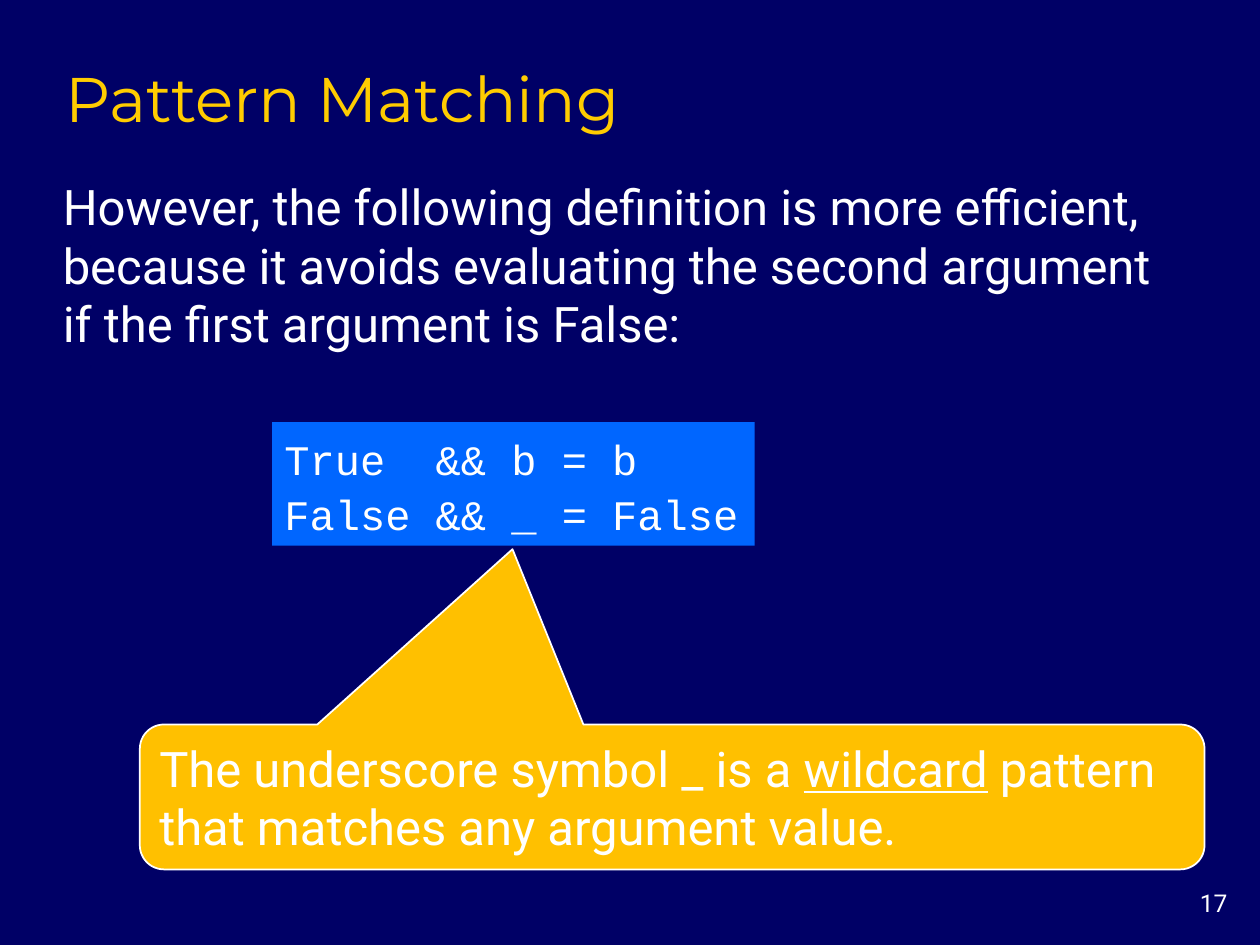
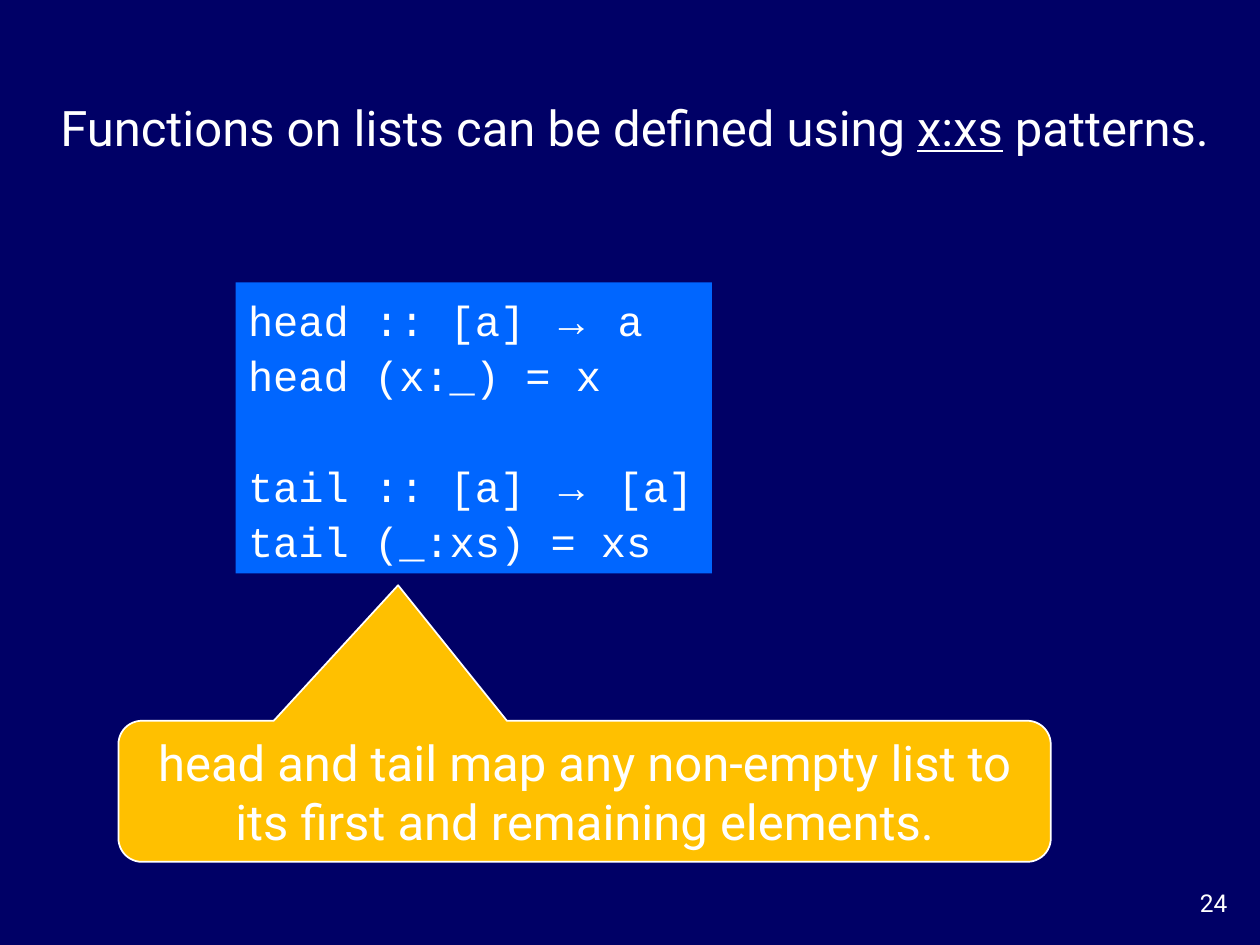
from dataclasses import dataclass
from typing import Optional

from pptx import Presentation
from pptx import util as u
from pptx.dml.color import RGBColor
from pptx.enum import shapes, text


@dataclass(frozen=True)
class Theme:
    background: RGBColor = RGBColor(0x00, 0x00, 0x66)
    title: RGBColor = RGBColor(0xFF, 0xCC, 0x00)
    ink: RGBColor = RGBColor(0xFF, 0xFF, 0xFF)
    code_fill: RGBColor = RGBColor(0x00, 0x66, 0xFF)
    callout_fill: RGBColor = RGBColor(0xFF, 0xC0, 0x00)
    title_font: str = "Montserrat"
    body_font: str = "Roboto"
    code_font: str = "Courier New"
    arrow_font: str = "Times New Roman"
    title_size: int = 36
    body_size: int = 28
    code_size: int = 24
    number_size: int = 14
    code_spacing: float = 1.1
    code_gap: float = 31.7


@dataclass(frozen=True)
class Area:
    """A place on the grid of 100 columns by 75 rows."""
    column: float
    row: float
    columns: float
    rows: float


@dataclass(frozen=True)
class Run:
    text: str
    underline: bool = False
    font: Optional[str] = None


@dataclass(frozen=True)
class TextStyle:
    font: str
    size: int
    color: RGBColor
    align: text.PP_ALIGN = text.PP_ALIGN.LEFT


@dataclass(frozen=True)
class Line:
    runs: tuple[Run, ...]
    space_before: float = 0
    spacing: Optional[float] = None


@dataclass(frozen=True)
class Callout:
    area: Area
    line: Line
    pointer: tuple[float, float]
    align: text.PP_ALIGN = text.PP_ALIGN.LEFT


@dataclass(frozen=True)
class Page:
    number: int
    statement_area: Area
    statement: Line
    code_area: Area
    code: tuple[Line, ...]
    callout: Callout
    title: Optional[str] = None


THEME = Theme()
COLUMNS, ROWS = 100, 75
WIDTH, HEIGHT = u.Inches(10), u.Inches(7.5)
TITLE_AREA = Area(4.2, 4.2, 85, 7.5)
NUMBER_AREA = Area(91.7, 70, 6.7, 3.3)
CORNER = 0.167

TITLE = TextStyle(THEME.title_font, THEME.title_size, THEME.title)
BODY = TextStyle(THEME.body_font, THEME.body_size, THEME.ink)
CODE = TextStyle(THEME.code_font, THEME.code_size, THEME.ink)
NUMBER = TextStyle(THEME.body_font, THEME.number_size, THEME.ink, text.PP_ALIGN.RIGHT)


def place(area: Area) -> tuple[int, int, int, int]:
    """Turn grid units into left, top, width and height."""
    return (int(WIDTH * area.column / COLUMNS), int(HEIGHT * area.row / ROWS),
            int(WIDTH * area.columns / COLUMNS), int(HEIGHT * area.rows / ROWS))


def plain(words: str, space_before: float = 0) -> Line:
    return Line((Run(words),), space_before)


def code_line(source: str, new_block: bool = False) -> Line:
    """Split a line of code at its arrow, which has a font of its own."""
    before, arrow, after = source.partition("→")
    parts = (Run(before), Run(arrow, font=THEME.arrow_font), Run(after))
    return Line(tuple(run for run in parts if run.text),
                THEME.code_gap if new_block else 0, THEME.code_spacing)


def write(shape, lines: tuple[Line, ...], style: TextStyle,
          middle: bool = True, wrap: bool = True) -> None:
    frame = shape.text_frame
    frame.word_wrap = wrap
    frame.vertical_anchor = text.MSO_ANCHOR.MIDDLE if middle else text.MSO_ANCHOR.TOP
    frame.auto_size = (text.MSO_AUTO_SIZE.SHAPE_TO_FIT_TEXT if middle
                       else text.MSO_AUTO_SIZE.NONE)
    for index, line in enumerate(lines):
        paragraph = frame.add_paragraph() if index else frame.paragraphs[0]
        paragraph.alignment = style.align
        paragraph.space_before = u.Pt(line.space_before)
        paragraph.line_spacing = line.spacing
        paragraph.font.name = style.font
        paragraph.font.size = u.Pt(style.size)
        paragraph.font.color.rgb = style.color
        for part in line.runs:
            run = paragraph.add_run()
            run.text = part.text
            if part.underline:
                run.font.underline = True
            if part.font:
                run.font.name = part.font


def add_text(slide, area: Area, line: Line, style: TextStyle, middle: bool = False) -> None:
    write(slide.shapes.add_textbox(*place(area)), (line,), style, middle)


def add_filled(slide, kind: shapes.MSO_SHAPE, area: Area, fill: RGBColor):
    shape = slide.shapes.add_shape(kind, *place(area))
    shape.shadow.inherit = False
    shape.fill.solid()
    shape.fill.fore_color.rgb = fill
    shape.line.fill.background()
    return shape


def add_code(slide, area: Area, lines: tuple[Line, ...]) -> None:
    box = add_filled(slide, shapes.MSO_SHAPE.RECTANGLE, area, THEME.code_fill)
    write(box, lines, CODE, wrap=False)


def add_callout(slide, callout: Callout) -> None:
    bubble = add_filled(slide, shapes.MSO_SHAPE.ROUNDED_RECTANGULAR_CALLOUT,
                        callout.area, THEME.callout_fill)
    bubble.line.color.rgb = THEME.ink
    bubble.line.width = u.Pt(1)
    for index, value in enumerate((*callout.pointer, CORNER)):
        bubble.adjustments[index] = value
    style = TextStyle(BODY.font, BODY.size, BODY.color, callout.align)
    write(bubble, (callout.line,), style)


def add_page(presentation, page: Page) -> None:
    slide = presentation.slides.add_slide(presentation.slide_layouts[6])
    slide.background.fill.solid()
    slide.background.fill.fore_color.rgb = THEME.background
    add_text(slide, NUMBER_AREA, plain(str(page.number)), NUMBER)
    add_code(slide, page.code_area, page.code)
    add_text(slide, page.statement_area, page.statement, BODY, middle=True)
    add_callout(slide, page.callout)
    if page.title:
        add_text(slide, TITLE_AREA, plain(page.title), TITLE)


PAGES = (
    # Wildcard pattern
    Page(
        number=17,
        title="Pattern Matching",
        statement_area=Area(4, 13.5, 90.7, 15),
        statement=plain("However, the following definition is more efficient, because it "
                        "avoids evaluating the second argument if the first argument is False:"),
        code_area=Area(21.6, 33.5, 38.3, 9.8),
        code=(code_line("True  && b = b"), code_line("False && _ = False")),
        callout=Callout(
            Area(11.1, 57.5, 84.5, 11.5),
            Line((Run("The underscore symbol _ is a "), Run("wildcard", underline=True),
                  Run(" pattern that matches any argument value.")), space_before=5.6),
            pointer=(-0.15, -1.71)),
    ),
    # List patterns
    Page(
        number=24,
        statement_area=Area(3.8, 7.2, 93.9, 5.7),
        statement=Line((Run("Functions on lists can be defined using "),
                        Run("x:xs", underline=True), Run(" patterns."))),
        code_area=Area(18.7, 22.4, 37.8, 23.1),
        code=(code_line("head :: [a] → a"), code_line("head (x:_) = x"),
              code_line("tail :: [a] → [a]", new_block=True), code_line("tail (_:xs) = xs")),
        callout=Callout(
            Area(9.4, 57.2, 74, 11.2),
            plain("head and tail map any non-empty list to its first and remaining elements."),
            pointer=(-0.2, -1.46), align=text.PP_ALIGN.CENTER),
    ),
)


def main() -> None:
    presentation = Presentation()
    presentation.slide_width, presentation.slide_height = WIDTH, HEIGHT
    for page in PAGES:
        add_page(presentation, page)
    presentation.save("out.pptx")


if __name__ == "__main__":
    main()
